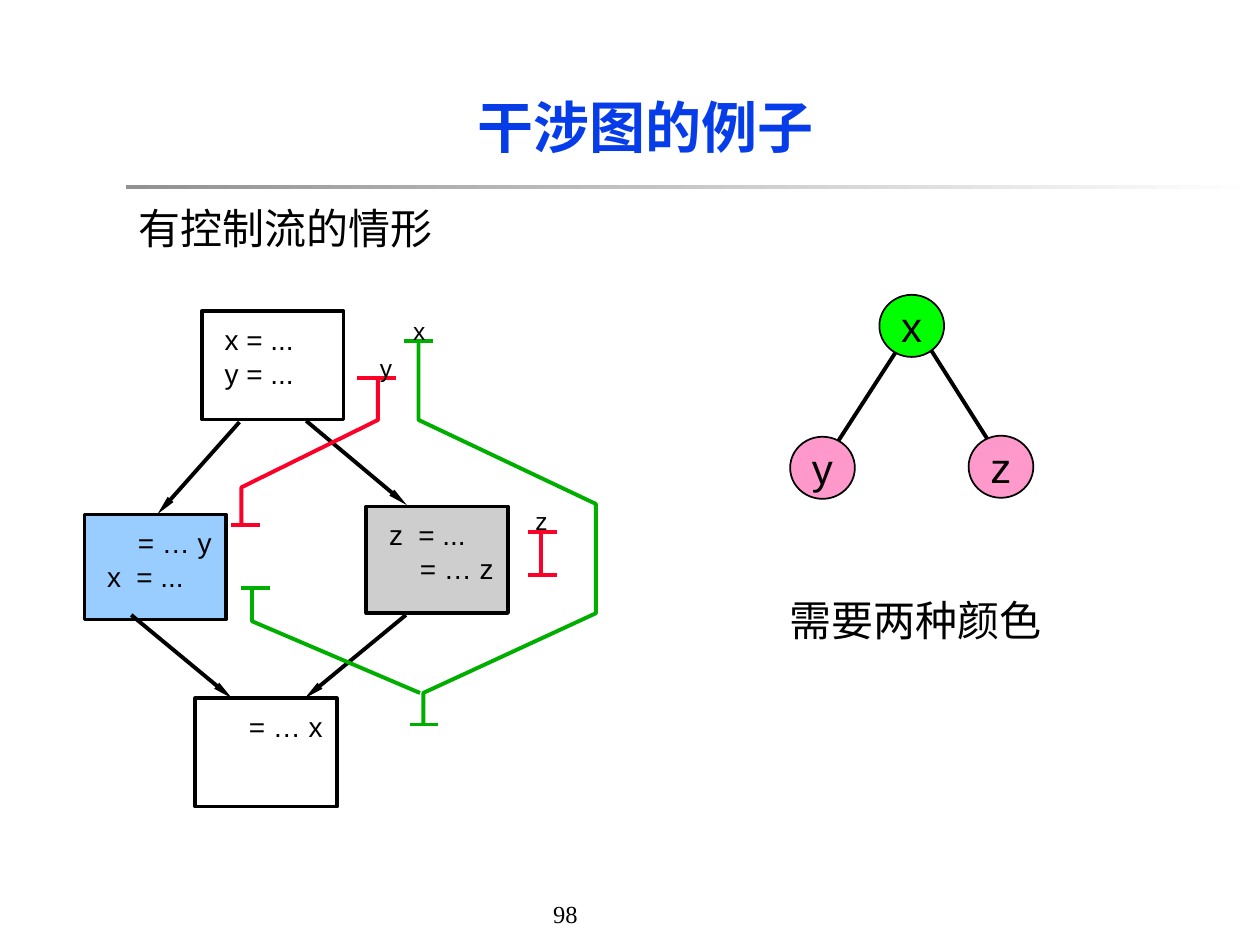
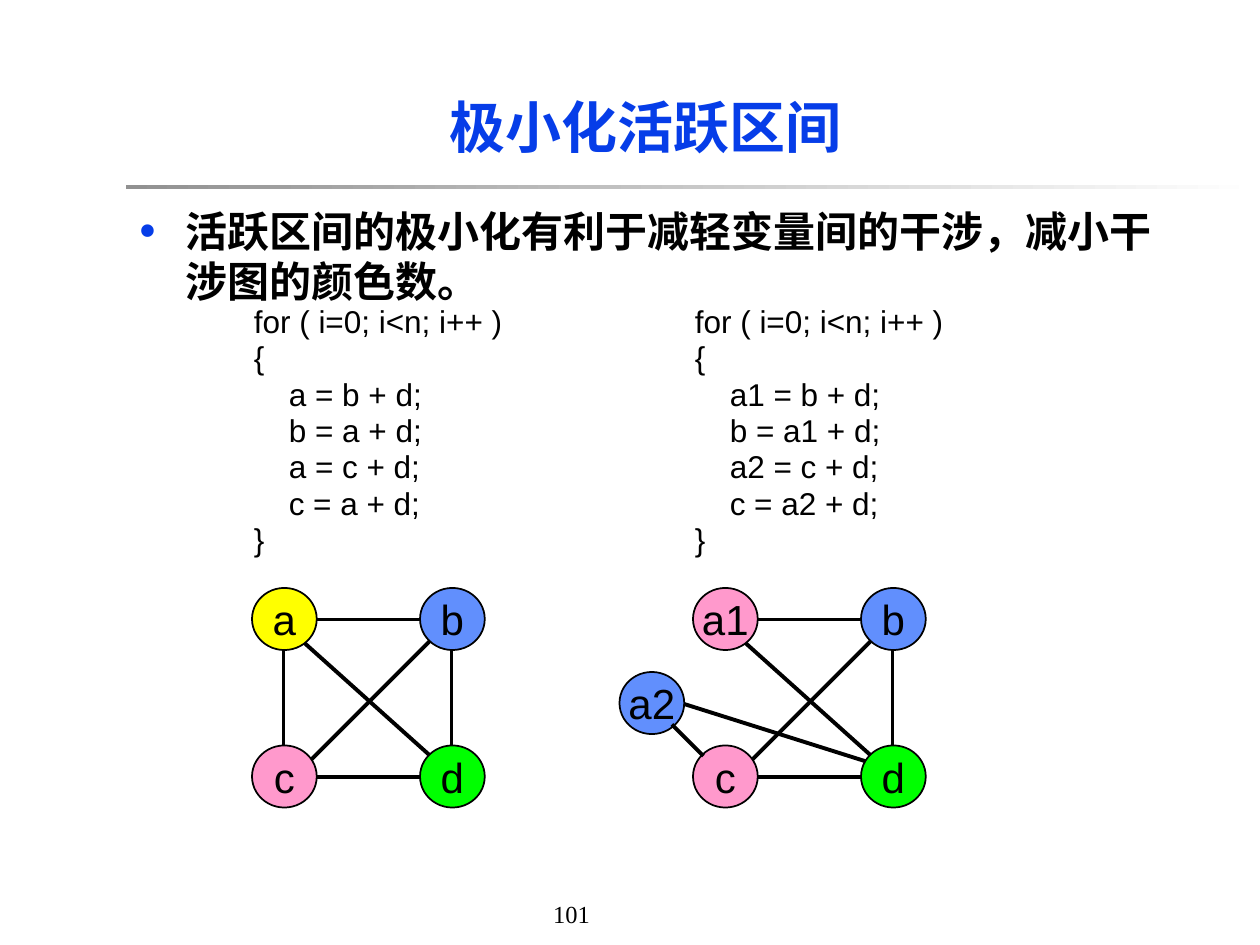
from lxml.etree import SubElement
from pptx import Presentation
from pptx.dml.color import RGBColor
from pptx.enum.shapes import MSO_CONNECTOR as CONN, MSO_SHAPE as SHAPE
from pptx.enum.text import MSO_ANCHOR as ANCHOR, PP_ALIGN as ALIGN
from pptx.oxml.ns import qn
from pptx.util import Pt

BLACK = RGBColor(0x00, 0x00, 0x00)
WHITE = RGBColor(0xFF, 0xFF, 0xFF)
TITLE_BLUE = RGBColor(0x06, 0x3D, 0xE8)
RULE_GREY = RGBColor(0x91, 0x91, 0x91)
BLOCK_GREY = RGBColor(0xCE, 0xCE, 0xCE)
BLOCK_BLUE = RGBColor(0x99, 0xCC, 0xFF)
NODE_BLUE = RGBColor(0x61, 0x8F, 0xFD)
PINK = RGBColor(0xFF, 0x99, 0xCC)
LIME = RGBColor(0x00, 0xFF, 0x00)
YELLOW = RGBColor(0xFF, 0xFF, 0x00)
RED = RGBColor(0xFC, 0x01, 0x28)
GREEN = RGBColor(0x00, 0xAE, 0x00)
SERIF = "Times New Roman"
NODE = dict(shape=SHAPE.OVAL, size=24, align=ALIGN.CENTER, anchor=ANCHOR.MIDDLE, wrap=False)


def write(s, text, x, y, w, h, shape=None, fill=None, border=1, size=16, font="Arial",
          bold=False, color=BLACK, align=ALIGN.LEFT, anchor=ANCHOR.TOP, wrap=True,
          margins=(7.2, 3.6, 7.2), spacing=None, before=0):
    at = Pt(x), Pt(y), Pt(w), Pt(h)
    if shape is None:
        sp = s.shapes.add_textbox(*at)
    else:
        sp = s.shapes.add_shape(shape, *at)
        sp.shadow.inherit = False
        sp.fill.solid()
        sp.fill.fore_color.rgb = fill
        sp.line.color.rgb = BLACK
        sp.line.width = Pt(border)
    tf = sp.text_frame
    tf.word_wrap = wrap
    tf.vertical_anchor = anchor
    tf.margin_left, tf.margin_top, tf.margin_right = map(Pt, margins)
    for i, row in enumerate(text.split("\n")):
        p = tf.paragraphs[0] if i == 0 else tf.add_paragraph()
        p.alignment = align
        if spacing:
            p.line_spacing = spacing
        if i and before:
            p.space_before = Pt(before)
        r = p.add_run()
        r.text = row
        r.font.size = Pt(size)
        r.font.name = font
        r.font.bold = bold
        r.font.color.rgb = color
    return sp


def stroke(s, color, *points, arrow=False):
    pts = [(Pt(x), Pt(y)) for x, y in points]
    if len(pts) == 2:
        sp = s.shapes.add_connector(CONN.STRAIGHT, *pts[0], *pts[1])
    else:
        builder = s.shapes.build_freeform(*pts[0])
        builder.add_line_segments(pts[1:], close=False)
        sp = builder.convert_to_shape()
        sp.fill.background()
    sp.line.color.rgb = color
    sp.line.width = Pt(2.25)
    if arrow:
        SubElement(sp.line._get_or_add_ln(), qn("a:tailEnd"), type="triangle", w="sm", len="lg")
    SubElement(sp._element.spPr, qn("a:effectLst"))


prs = Presentation()
prs.slide_width, prs.slide_height = Pt(720), Pt(540)
slides = []
for title, number in (("干涉图的例子", "98"), ("极小化活跃区间", "101")):
    s = prs.slides.add_slide(prs.slide_layouts[6])
    slides.append(s)
    write(s, number, 309, 510, 73, 24, size=14, font=SERIF)
    rule = s.shapes.add_shape(SHAPE.RECTANGLE, Pt(72), Pt(105.8), Pt(648), Pt(2.2))
    rule.shadow.inherit = False
    rule.line.fill.background()
    rule.fill.gradient()
    rule.fill.gradient_angle = 0
    for stop, color, position in zip(rule.fill.gradient_stops, (RULE_GREY, WHITE), (0, 1)):
        stop.color.rgb = color
        stop.position = position
    write(s, title, 72, 36, 594, 72, size=32, font=SERIF, bold=True, color=TITLE_BLUE,
          align=ALIGN.CENTER, anchor=ANCHOR.MIDDLE)

flow, ranges = slides

write(flow, "有控制流的情形", 72, 112.3, 200, 36, size=24)
write(flow, "需要两种颜色", 444, 336.3, 180, 36, size=24)

for code, x, y, h, fill in (
    ("x = ...\ny = ...", 115.4, 177.8, 62, WHITE),
    ("z  = ...\n    = … z", 209.3, 289.4, 61, BLOCK_GREY),
    ("    = … y\nx  = ...", 48.2, 294, 60, BLOCK_BLUE),
    ("    = … x", 111.6, 399, 62, WHITE),
):
    write(flow, code, x, y, 81, h, shape=SHAPE.RECTANGLE, fill=fill, border=2,
          margins=(13, 6.5, 0))

for start, end in (
    ((136.8, 241.2), (90, 293.8)),
    ((75, 351.4), (132.5, 399)),
    ((175, 240.5), (232.5, 288.7)),
    ((232, 351.4), (174.2, 399)),
):
    stroke(flow, BLACK, start, end, arrow=True)

for color, x, y, w in (
    (GREEN, 231, 195, 16.5),
    (GREEN, 138, 336, 16.5),
    (GREEN, 234, 414, 16.5),
    (RED, 204, 216, 22.5),
    (RED, 132, 300, 16.5),
    (RED, 301.7, 304, 16.5),
    (RED, 301.7, 328.5, 16.5),
):
    stroke(flow, color, (x, y), (x + w, y))

stroke(flow, GREEN, (239.2, 195), (239.2, 240), (340.5, 288), (340.5, 350.5), (242, 396), (242, 414))
stroke(flow, GREEN, (144, 336), (144, 355), (240, 396))
stroke(flow, RED, (216, 216), (216, 240), (138, 278.5), (138, 300))
stroke(flow, RED, (309, 304), (309, 328.5))

for name, x, y in (("x", 229, 177), ("y", 210, 198), ("z", 298.8, 285.8)):
    write(flow, name, x, y, 22, 24, size=14)

stroke(flow, BLACK, (512, 201), (479, 252))
stroke(flow, BLACK, (532, 200), (564, 250.5))
for name, x, y, fill in (("x", 502.5, 168.5, LIME), ("y", 451.5, 249.6, PINK), ("z", 553.5, 249, PINK)):
    write(flow, name, x, y, 37, 35.5, fill=fill, **NODE)

body = write(ranges, "活跃区间的极小化有利于减轻变量间的干涉，减小干涉图的颜色数。",
             72, 113.8, 594, 354, size=24, font=SERIF, bold=True)
pPr = body.text_frame.paragraphs[0]._p.get_or_add_pPr()
pPr.set("marL", str(Pt(27)))
pPr.set("indent", str(Pt(-27)))
SubElement(SubElement(pPr, qn("a:buClr")), qn("a:srgbClr"), val=str(TITLE_BLUE))
SubElement(pPr, qn("a:buSzPct"), val="125000")
SubElement(pPr, qn("a:buFont"), typeface=SERIF)
SubElement(pPr, qn("a:buChar"), char="•")

for left, first, second, fill in ((144, "a", "a", YELLOW), (396, "a1", "a2", PINK)):
    code = (f"for ( i=0; i<n; i++ )\n{{\n    {first} = b + d;\n    b = {first} + d;\n"
            f"    {second} = c + d;\n    c = {second} + d;\n}}")
    write(ranges, code, left - 6, 174.2, 246, 148, size=18, align=ALIGN.JUSTIFY,
          spacing=0.75, before=4.5)
    edges = [
        (36, 354, 96, 354),
        (36, 444, 96, 444),
        (114, 372, 114, 426),
        (29.5, 367, 102, 432),
        (30, 438, 102, 366),
    ]
    if first == second:
        edges.append((18, 372, 18, 426))
    for x1, y1, x2, y2 in edges:
        stroke(ranges, BLACK, (left + x1, y1), (left + x2, y2))
    if first != second:
        stroke(ranges, BLACK, (390, 402), (504, 438))
        write(ranges, second, 354, 384, 37, 35.5, fill=NODE_BLUE, **NODE)
    for i, (name, color) in enumerate(((first, fill), ("b", NODE_BLUE), ("c", PINK), ("d", LIME))):
        write(ranges, name, left + i % 2 * 96, 336 + i // 2 * 90, 37, 35.5, fill=color, **NODE)
stroke(ranges, BLACK, (384, 414), (402, 432))

prs.save("out.pptx")
